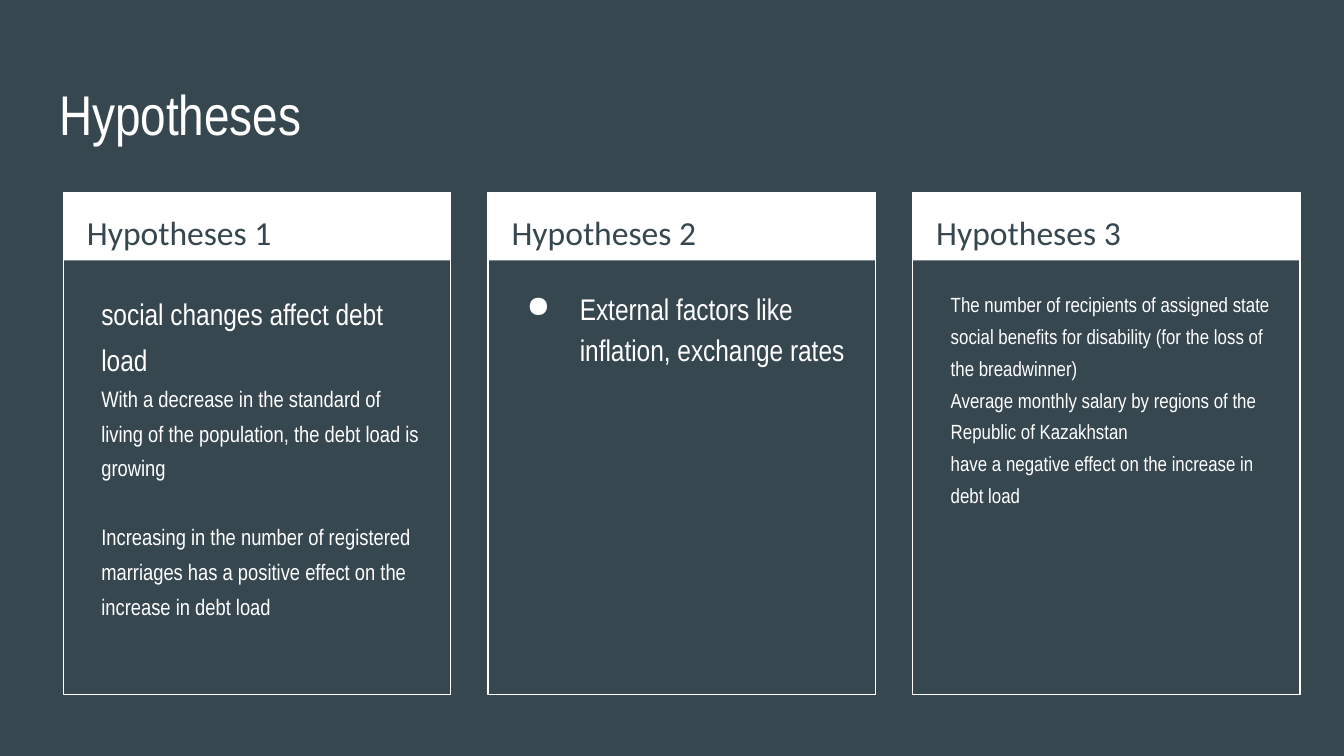
from lxml.etree import SubElement
from pptx import Presentation
from pptx.dml.color import RGBColor
from pptx.enum.shapes import MSO_SHAPE
from pptx.enum.text import MSO_ANCHOR, MSO_AUTO_SIZE, PP_ALIGN
from pptx.oxml.ns import qn
from pptx.util import Pt

COLORS = {"slate": "37474F", "white": "FFFFFF"}
BODY_FONT = "Arial Narrow"
HEADING_FONT = "Calibri"
INSET = 7.2


class HypothesesSlide:
    def __init__(self, deck):
        self.slide = deck.slides.add_slide(deck.slide_layouts[5])
        background = self.slide.background.fill
        background.solid()
        background.fore_color.rgb = self.color("slate")

    def color(self, name):
        return RGBColor.from_string(COLORS[name])

    def prepare(self, frame):
        frame.word_wrap = True
        frame.auto_size = MSO_AUTO_SIZE.NONE
        frame.vertical_anchor = MSO_ANCHOR.TOP
        frame.margin_left = frame.margin_right = Pt(INSET)
        frame.margin_top = frame.margin_bottom = Pt(INSET)

    def format(self, paragraph, size, font=BODY_FONT, color="white", spacing=1.0):
        paragraph.alignment = PP_ALIGN.LEFT
        paragraph.line_spacing = spacing
        for run in paragraph.runs:
            run.font.size = Pt(size)
            run.font.name = font
            run.font.color.rgb = self.color(color)

    def indent(self, paragraph, left, first=0, bullet=None):
        properties = paragraph._p.get_or_add_pPr()
        properties.set("marL", str(Pt(left)))
        properties.set("indent", str(Pt(first)))
        if bullet:
            SubElement(properties, qn("a:buChar")).set("char", bullet)

    def title(self, text, left, top, width, height):
        title = self.slide.shapes.title
        title.left, title.top = Pt(left), Pt(top)
        title.width, title.height = Pt(width), Pt(height)
        title.text_frame.text = text
        self.prepare(title.text_frame)
        self.format(title.text_frame.paragraphs[0], 30)

    def box(self, left, top, width, height, fill=None, line=None):
        box = self.slide.shapes.add_shape(
            MSO_SHAPE.RECTANGLE, Pt(left), Pt(top), Pt(width), Pt(height))
        box.shadow.inherit = False
        if fill:
            box.fill.solid()
            box.fill.fore_color.rgb = self.color(fill)
        else:
            box.fill.background()
        if line:
            box.line.color.rgb = self.color(line)
            box.line.width = Pt(0.75)
        else:
            box.line.fill.background()

    def text(self, left, top, width, height, lines):
        frame = self.slide.shapes.add_textbox(
            Pt(left), Pt(top), Pt(width), Pt(height)).text_frame
        self.prepare(frame)
        frame.text = "\n".join(lines)
        return frame.paragraphs

    def card(self, left, heading, statements):
        self.box(left, 103, 207.5, 36.5, fill="white")
        self.box(left, 103, 207.5, 269, line="white")
        label = self.text(left + 5.5, 103, 196.5, 36, [heading])[0]
        self.format(label, 18, HEADING_FONT, "slate", 1.15)
        lines = [statement["text"] for statement in statements]
        body = self.text(left + 6, 145.5, 195, 220, lines)
        for paragraph, statement in zip(body, statements):
            bullet = statement.get("bullet")
            self.format(paragraph, statement["size"], spacing=1.15 if bullet else 1.29)
            paragraph.space_before = Pt(statement.get("before", 0))
            if bullet:
                self.indent(paragraph, 36, -28.5, bullet)
            else:
                self.indent(paragraph, INSET)


HYPOTHESES = [
    ("Hypotheses 1", [
        {"text": "social changes affect debt load", "size": 16},
        {"text": "With a decrease in the standard of living of the population, "
                 "the debt load is growing", "size": 12},
        {"text": "Increasing in the number of registered marriages has a positive "
                 "effect on the increase in debt load", "size": 12, "before": 18.4},
    ]),
    ("Hypotheses 2", [
        {"text": "External factors like inflation, exchange rates",
         "size": 16, "bullet": "●"},
    ]),
    ("Hypotheses 3", [
        {"text": "The number of recipients of assigned state social benefits for "
                 "disability (for the loss of the breadwinner)", "size": 11},
        {"text": "Average monthly salary by regions of the Republic of Kazakhstan",
         "size": 11},
        {"text": "have a negative effect on the increase in debt load", "size": 11},
    ]),
]

deck = Presentation()
deck.slide_width, deck.slide_height = Pt(720), Pt(405)
page = HypothesesSlide(deck)
page.title("Hypotheses", 24.5, 35.5, 671, 45)
for column, (heading, statements) in enumerate(HYPOTHESES):
    page.card(34 + column * 227.5, heading, statements)
deck.save("out.pptx")
